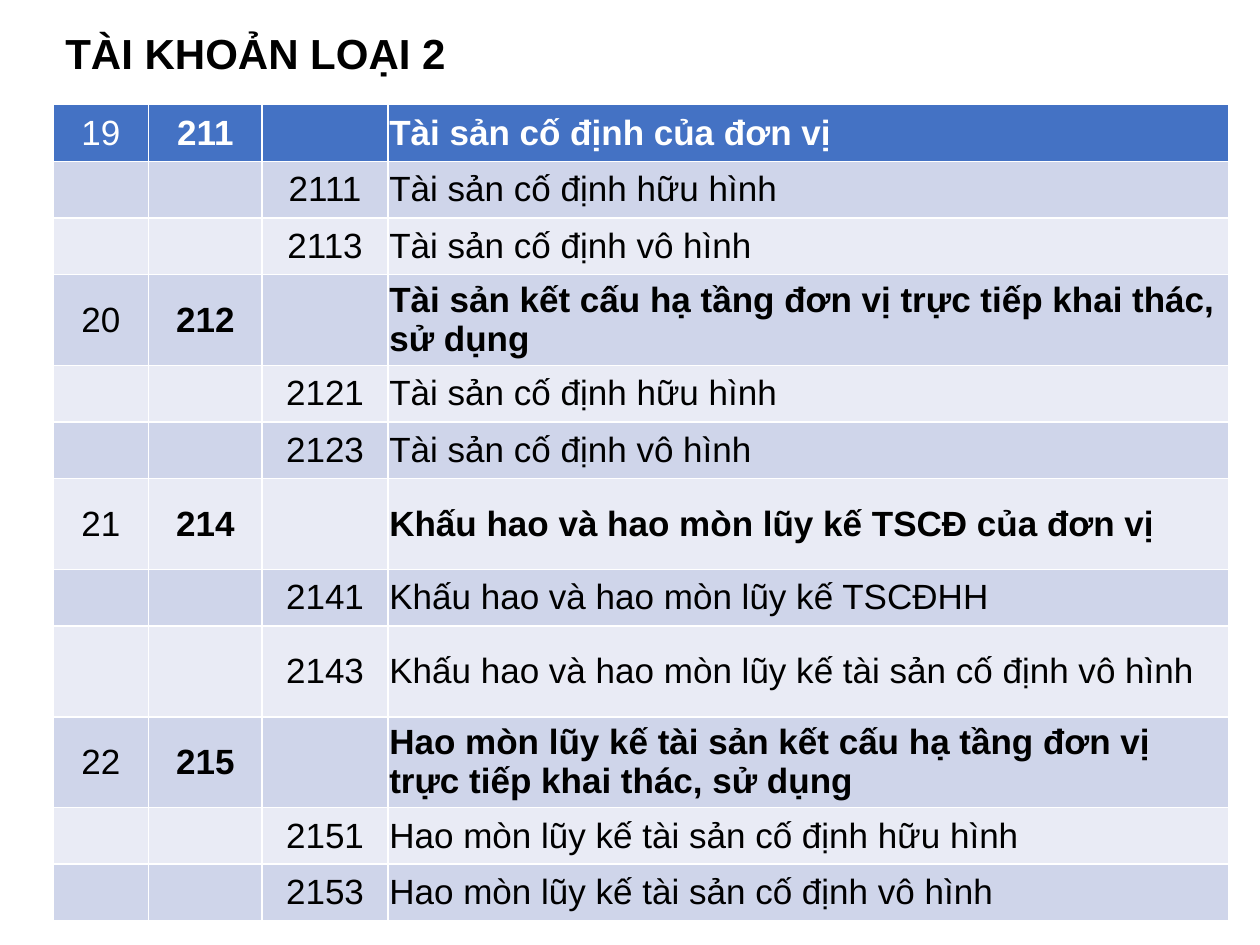
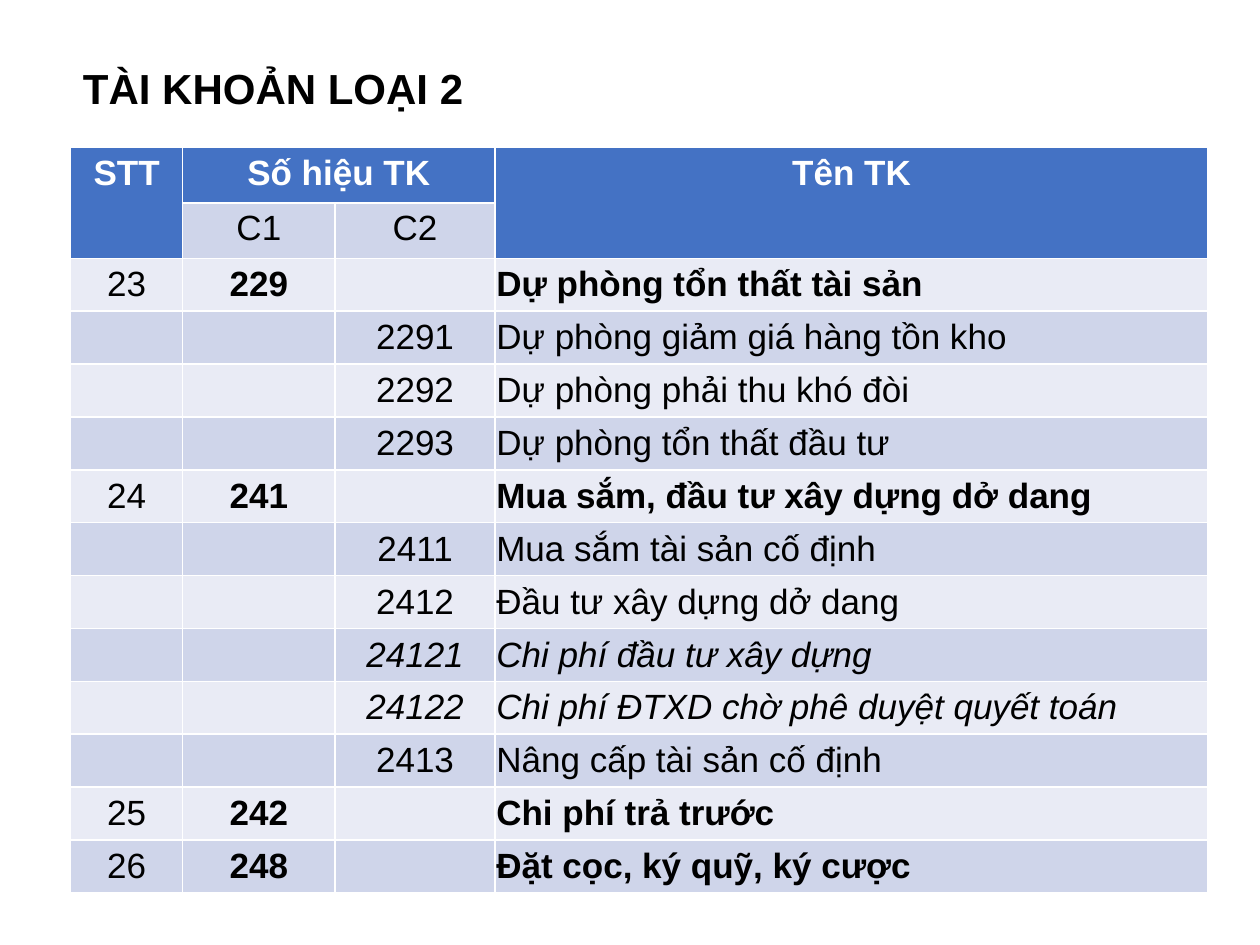
from pptx import Presentation
from pptx.dml.color import RGBColor
from pptx.enum.text import MSO_ANCHOR as Anchor, MSO_AUTO_SIZE as Fit, PP_ALIGN as Align
from pptx.util import Inches, Pt

FONT = "Arial"
BLACK = RGBColor(0x00, 0x00, 0x00)
WHITE = RGBColor(0xFF, 0xFF, 0xFF)
BLUE = RGBColor(0x44, 0x72, 0xC4)
DARK = RGBColor(0xCF, 0xD5, 0xEA)
LIGHT = RGBColor(0xE9, 0xEB, 0xF5)

TITLE = "TÀI KHOẢN LOẠI 2"

ASSETS = [
    ("19", "211", "Tài sản cố định của đơn vị"),
    ("", "2111", "Tài sản cố định hữu hình"),
    ("", "2113", "Tài sản cố định vô hình"),
    ("20", "212", "Tài sản kết cấu hạ tầng đơn vị trực tiếp khai thác, sử dụng"),
    ("", "2121", "Tài sản cố định hữu hình"),
    ("", "2123", "Tài sản cố định vô hình"),
    ("21", "214", "Khấu hao và hao mòn lũy kế TSCĐ của đơn vị"),
    ("", "2141", "Khấu hao và hao mòn lũy kế TSCĐHH"),
    ("", "2143", "Khấu hao và hao mòn lũy kế tài sản cố định vô hình"),
    ("22", "215", "Hao mòn lũy kế tài sản kết cấu hạ tầng đơn vị trực tiếp khai thác, sử dụng"),
    ("", "2151", "Hao mòn lũy kế tài sản cố định hữu hình"),
    ("", "2153", "Hao mòn lũy kế tài sản cố định vô hình"),
]

COSTS = [
    ("23", "229", "Dự phòng tổn thất tài sản"),
    ("", "2291", "Dự phòng giảm giá hàng tồn kho"),
    ("", "2292", "Dự phòng phải thu khó đòi"),
    ("", "2293", "Dự phòng tổn thất đầu tư"),
    ("24", "241", "Mua sắm, đầu tư xây dựng dở dang"),
    ("", "2411", "Mua sắm tài sản cố định"),
    ("", "2412", "Đầu tư xây dựng dở dang"),
    ("", "24121", "Chi phí đầu tư xây dựng"),
    ("", "24122", "Chi phí ĐTXD chờ phê duyệt quyết toán"),
    ("", "2413", "Nâng cấp tài sản cố định"),
    ("25", "242", "Chi phí trả trước"),
    ("26", "248", "Đặt cọc, ký quỹ, ký cược"),
]


def add_run(para, text, size, color, bold=False, italic=False):
    run = para.add_run()
    run.text = text
    font = run.font
    font.name, font.size = FONT, Pt(size)
    font.bold, font.italic = bold, italic
    font.color.rgb = color


def add_title(slide, left, top):
    box = slide.shapes.add_textbox(Inches(left), Inches(top), Inches(3.22), Inches(0.5))
    frame = box.text_frame
    frame.word_wrap = False
    frame.auto_size = Fit.SHAPE_TO_FIT_TEXT
    add_run(frame.paragraphs[0], TITLE, 24, BLACK, bold=True)


def add_grid(slide, left, top, widths, heights):
    frame = slide.shapes.add_table(
        len(heights), len(widths), Inches(left), Inches(top),
        Inches(sum(widths)), Inches(sum(heights)))
    table = frame.table
    for col, width in zip(table.columns, widths):
        col.width = Inches(width)
    for i, (row, height) in enumerate(zip(table.rows, heights)):
        row.height = Inches(height)
        for cell in row.cells:
            cell.fill.solid()
            cell.fill.fore_color.rgb = BLUE if i == 0 else DARK if i % 2 else LIGHT
    return table


def fill_cell(cell, text, color, align=Align.CENTER, bold=False, italic=False):
    para = cell.text_frame.paragraphs[0]
    para.alignment = align
    add_run(para, text, 20, color, bold, italic)


def fill_rows(table, rows, start):
    for i, (num, code, name) in enumerate(rows, start):
        main = bool(num)
        color = BLACK if i else WHITE
        style = {"bold": main, "italic": len(code) == 5}
        parts = [(1 if main else 2, code, Align.CENTER, style),
                 (3, name, Align.LEFT, style)]
        if main:
            parts.append((0, num, Align.CENTER, {}))
        for col, text, align, look in parts:
            cell = table.cell(i, col)
            cell.vertical_anchor = Anchor.MIDDLE
            cell.margin_left = cell.margin_right = Inches(0.01)
            cell.margin_top = cell.margin_bottom = 0
            fill_cell(cell, text, color, align, **look)


def fill_head(table):
    table.cell(0, 0).merge(table.cell(1, 0))
    table.cell(0, 1).merge(table.cell(0, 2))
    table.cell(0, 3).merge(table.cell(1, 3))
    for col, text in ((0, "STT"), (1, "Số hiệu TK"), (3, "Tên TK")):
        fill_cell(table.cell(0, col), text, WHITE, bold=True)
    for col, text in ((1, "C1"), (2, "C2")):
        fill_cell(table.cell(1, col), text, BLACK)


def asset_slide(slide):
    add_title(slide, 0.42, 0.17)
    tall = (3, 6, 8, 9)
    heights = [0.72 if i in tall else 0.45 for i in range(len(ASSETS))]
    table = add_grid(slide, 0.42, 0.83, (0.76, 0.9, 1, 6.67), heights)
    fill_rows(table, ASSETS, 0)


def cost_slide(slide):
    add_title(slide, 0.56, 0.45)
    heights = [0.44] * 2 + [0.42] * len(COSTS)
    table = add_grid(slide, 0.56, 1.17, (0.89, 1.21, 1.27, 5.66), heights)
    fill_head(table)
    fill_rows(table, COSTS, 2)


def main():
    deck = Presentation()
    deck.slide_width, deck.slide_height = Inches(10), Inches(7.5)
    for build in (asset_slide, cost_slide):
        build(deck.slides.add_slide(deck.slide_layouts[6]))
    deck.save("out.pptx")


if __name__ == "__main__":
    main()
